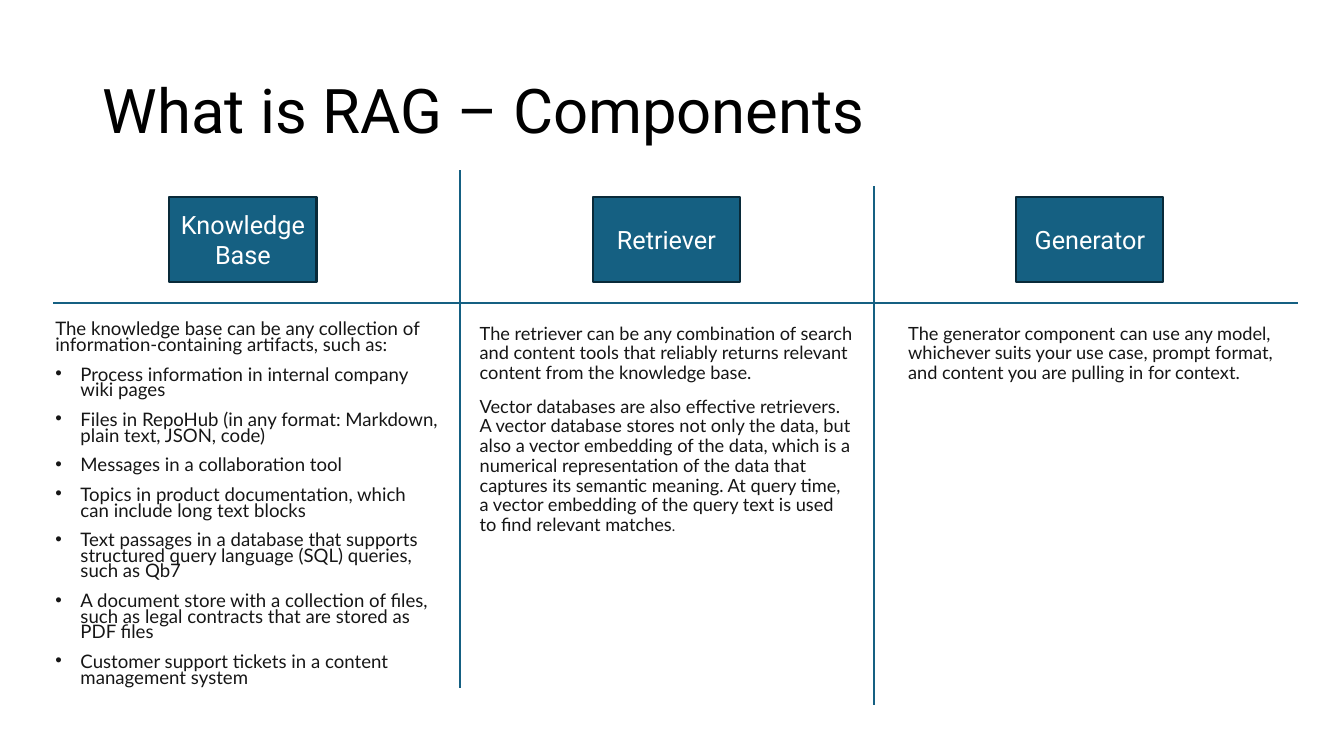
import pptx
import pptx.dml.color
import pptx.enum.shapes
import pptx.enum.text
import pptx.util
from lxml import etree

PX = 9144  # EMU per px, 100 px to the inch
COLORS = {"title": "000000", "body": "161616", "teal": "156082",
          "box_line": "092A39", "label": "FFFFFF"}
ALIGN = pptx.enum.text.PP_ALIGN
MIDDLE = pptx.enum.text.MSO_ANCHOR.MIDDLE
BULLET_INDENT = 25


def rgb(name):
    return pptx.dml.color.RGBColor.from_string(COLORS[name])


def add_run(p, text, size, font, color):
    r = p.add_run()
    r.text = text
    r.font.size = pptx.util.Pt(size)
    r.font.name = font
    r.font.color.rgb = rgb(color)


# Each paragraph is (bulleted, [(text, size), ...])
knowledge_bullets = [
    "Process information in internal company wiki pages",
    "Files in RepoHub (in any format: Markdown, plain text, JSON, code)",
    "Messages in a collaboration tool",
    "Topics in product documentation, which can include long text blocks",
    "Text passages in a database that supports structured query language (SQL) queries, such as Qb7",
    "A document store with a collection of files, such as legal contracts that are stored as PDF files",
    "Customer support tickets in a content management system",
]
knowledge = [(False, [("The knowledge base can be any collection of "
                       "information-containing artifacts, such as:", 13.3)])]
knowledge += [(True, [(text, 13.3)]) for text in knowledge_bullets]
retriever = [
    (False, [("The retriever can be any combination of search and content tools that "
              "reliably returns relevant content from the knowledge base.", 13)]),
    (False, [("Vector databases are also effective retrievers. A vector database stores "
              "not only the data, but also a vector embedding of the data, which is a "
              "numerical representation of the data that captures its semantic meaning. "
              "At query time, a vector embedding of the query text is used to find "
              "relevant matches", 13), (".", 10.5)]),
]
generator = [
    (False, [("The generator component can use any model, whichever suits your use case, "
              "prompt format, and content you are pulling in for context.", 13)]),
]

# label, text left, text top, text width, line spacing, paragraphs
columns = [
    ("Knowledge Base", 45, 316, 400, 0.7, knowledge),
    ("Retriever", 466, 317, 390, 0.9, retriever),
    ("Generator", 891, 317, 406, 0.9, generator),
]

prs = pptx.Presentation()
prs.slide_width = 1333 * PX
prs.slide_height = 750 * PX
slide = prs.slides.add_slide(prs.slide_layouts[5])

title = slide.shapes.title
title.left, title.top, title.width, title.height = 92 * PX, 40 * PX, 1150 * PX, 145 * PX
tf = title.text_frame
tf.vertical_anchor = MIDDLE
p = tf.paragraphs[0]
p.alignment = ALIGN.LEFT
p.line_spacing = 0.9
add_run(p, "What is RAG – Components", 44, "Roboto", "title")

for i, (label, left, top, width, spacing, paragraphs) in enumerate(columns):
    sp = slide.shapes.add_shape(pptx.enum.shapes.MSO_SHAPE.RECTANGLE,
                                (168 + 420 * i) * PX, 195 * PX, 146 * PX, 85 * PX)
    sp.shadow.inherit = False
    sp.fill.solid()
    sp.fill.fore_color.rgb = rgb("teal")
    sp.line.color.rgb = rgb("box_line")
    sp.line.width = pptx.util.Pt(1.5)
    tf = sp.text_frame
    tf.word_wrap = True
    tf.vertical_anchor = MIDDLE
    p = tf.paragraphs[0]
    p.alignment = ALIGN.CENTER
    add_run(p, label, 18, "Roboto", "label")

    sp = slide.shapes.add_textbox(left * PX, top * PX, width * PX, 393 * PX)
    tf = sp.text_frame
    tf.word_wrap = True
    for n, (bulleted, runs) in enumerate(paragraphs):
        p = tf.add_paragraph() if n else tf.paragraphs[0]
        p.line_spacing = spacing
        p.space_before = pptx.util.Pt(10)
        if bulleted:
            pPr = p._p.get_or_add_pPr()
            pPr.set("marL", str(BULLET_INDENT * PX))
            pPr.set("indent", str(-BULLET_INDENT * PX))
            font = etree.SubElement(pPr, pptx.oxml.ns.qn("a:buFont"))
            font.set("typeface", "Arial")
            bullet = etree.SubElement(pPr, pptx.oxml.ns.qn("a:buChar"))
            bullet.set("char", "•")
        for text, size in runs:
            add_run(p, text, size, "Lato", "body")

dividers = [(456, 169, 456, 683), (867, 185, 867, 699), (53, 301, 1287, 301)]
for x1, y1, x2, y2 in dividers:
    line = slide.shapes.add_connector(pptx.enum.shapes.MSO_CONNECTOR.STRAIGHT,
                                      x1 * PX, y1 * PX, x2 * PX, y2 * PX)
    line.line.color.rgb = rgb("teal")
    line.line.width = pptx.util.Pt(1.5)
    etree.SubElement(line._element.spPr, pptx.oxml.ns.qn("a:effectLst"))

prs.save("out.pptx")
